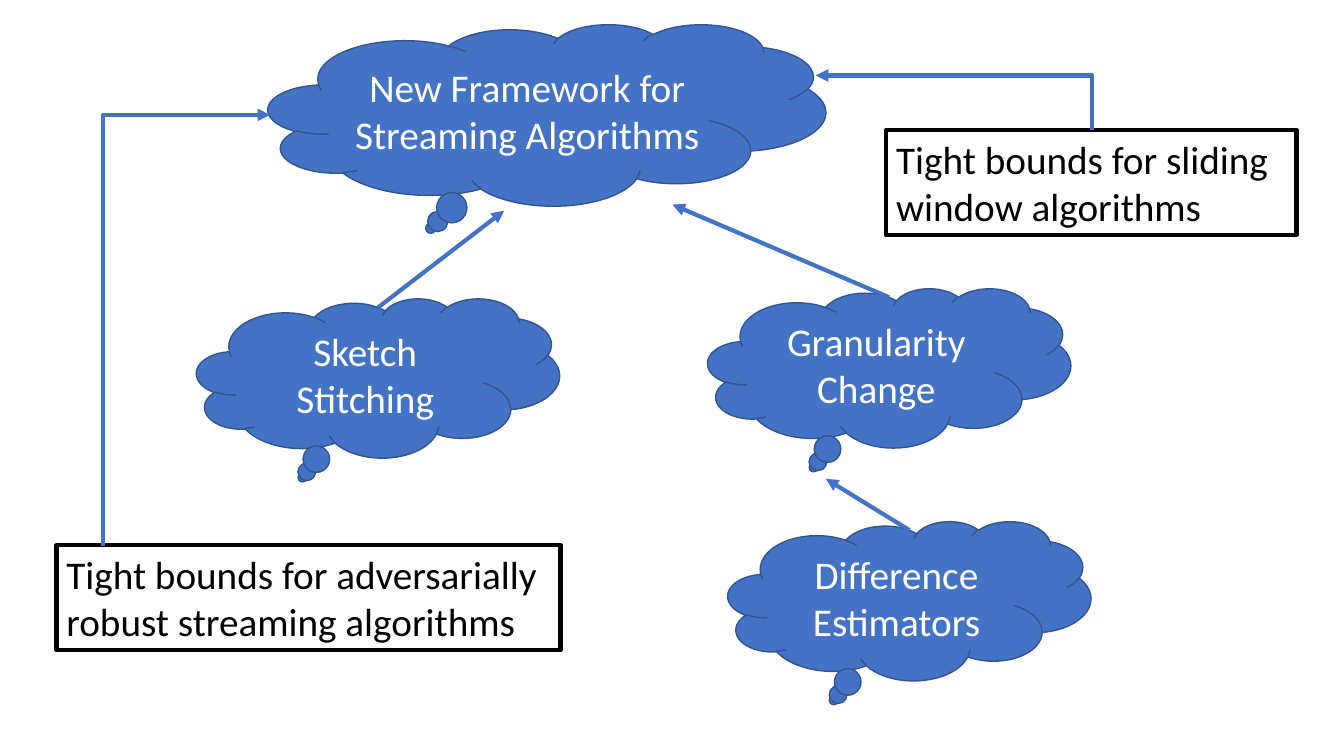
"""Build a slide that maps ideas behind a new framework for streaming algorithms."""
from lxml import etree
from pptx import Presentation
from pptx.dml.color import RGBColor
from pptx.enum.shapes import MSO_CONNECTOR, MSO_SHAPE
from pptx.enum.text import MSO_ANCHOR, MSO_AUTO_SIZE, PP_ALIGN
from pptx.oxml.ns import qn
from pptx.util import Inches, Pt

CLOUD, RECT = MSO_SHAPE.CLOUD_CALLOUT, MSO_SHAPE.RECTANGLE
STRAIGHT, ELBOW = MSO_CONNECTOR.STRAIGHT, MSO_CONNECTOR.ELBOW
MIDDLE, TOP = MSO_ANCHOR.MIDDLE, MSO_ANCHOR.TOP
CENTER, LEFT = PP_ALIGN.CENTER, PP_ALIGN.LEFT
FIT_SHAPE = MSO_AUTO_SIZE.SHAPE_TO_FIT_TEXT

BLUE, DARK_BLUE, WHITE, BLACK = "4472C4", "325491", "FFFFFF", "000000"
IDEA_SIZE = (3.6, 1.58)

CLOUDS = [
    ("Difference Estimators", (7.22, 5.17), IDEA_SIZE),
    ("Sketch Stitching", (1.95, 2.96), IDEA_SIZE),
    ("Granularity Change", (7.02, 2.86), IDEA_SIZE),
    ("New Framework for Streaming Algorithms", (2.66, 0.24), (5.53, 1.8)),
]
ARROWS = [
    ((3.75, 3.05), (5, 2.09)),
    ((8.82, 2.95), (6.67, 2.03)),
    ((9.02, 5.26), (8.19, 4.75)),
]
RESULTS = [
    ("Tight bounds for adversarially robust streaming algorithms", (0.56, 5.41), (5, 1.04)),
    ("Tight bounds for sliding window algorithms", (8.79, 1.29), (4.07, 1.04)),
]
BENT_ARROWS = [
    ((1.02, 5.42), (2.68, 1.14)),
    ((10.83, 1.29), (8.09, 0.75)),
]


def rgb(color):
    return RGBColor.from_string(color)


def add_text(tf, text, color=BLACK, size=28, font="Calibri", align=LEFT, anchor=TOP):
    tf.word_wrap = True
    tf.vertical_anchor = anchor
    p = tf.paragraphs[0]
    p.alignment = align
    r = p.add_run()
    r.text = text
    r.font.name, r.font.size = font, Pt(size)
    r.font.color.rgb = rgb(color)


def add_node(s, kind, at, size, line, width, fill=None):
    sp = s.shapes.add_shape(kind, *map(Inches, at + size))
    sp.shadow.inherit = False
    if fill:
        sp.fill.solid()
        sp.fill.fore_color.rgb = rgb(fill)
    else:
        sp.fill.background()
    sp.line.color.rgb = rgb(line)
    sp.line.width = Pt(width)
    return sp


def add_arrow(s, start, end, kind=STRAIGHT):
    cxn = s.shapes.add_connector(kind, *map(Inches, start + end))
    cxn.line.color.rgb = rgb(BLUE)
    cxn.line.width = Pt(3)
    etree.SubElement(cxn.line._get_or_add_ln(), qn("a:tailEnd"), type="triangle")
    etree.SubElement(cxn._element.spPr, qn("a:effectLst"))
    return cxn


def add_bent_arrow(s, start, end):
    (x1, y1), (x2, y2) = start, end
    cx, cy = (x1 + x2) / 2, (y1 + y2) / 2
    turn = 1 if x2 > x1 else -1
    dx, dy = turn * (x1 - cx), turn * (y1 - cy)
    cxn = add_arrow(s, (cx + dy, cy - dx), (cx - dy, cy + dx), ELBOW)
    spPr = cxn._element.spPr
    spPr.find(qn("a:xfrm")).set("rot", str(turn * 90 % 360 * 60000))
    spPr.find(qn("a:prstGeom")).set("prst", "bentConnector2")


def main():
    prs = Presentation()
    prs.slide_width, prs.slide_height = Inches(13.33), Inches(7.5)
    s = prs.slides.add_slide(prs.slide_layouts[6])
    for text, at, size in CLOUDS:
        sp = add_node(s, CLOUD, at, size, DARK_BLUE, 1, fill=BLUE)
        add_text(sp.text_frame, text, color=WHITE, align=CENTER, anchor=MIDDLE)
    for start, end in ARROWS:
        add_arrow(s, start, end)
    for text, at, size in RESULTS:
        sp = add_node(s, RECT, at, size, BLACK, 3)
        add_text(sp.text_frame, text)
        sp.text_frame.auto_size = FIT_SHAPE
    for start, end in BENT_ARROWS:
        add_bent_arrow(s, start, end)
    prs.save("out.pptx")


if __name__ == "__main__":
    main()
